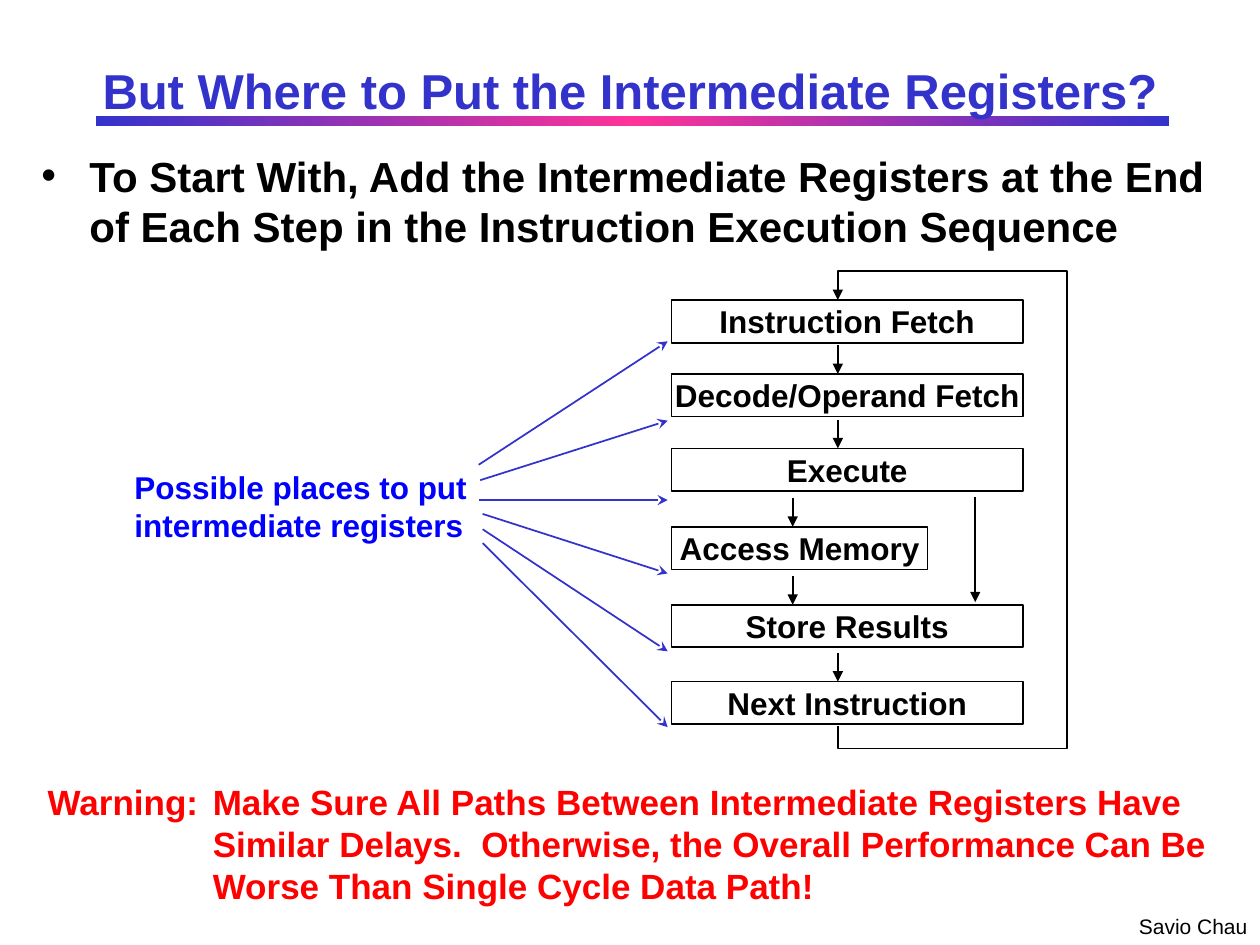
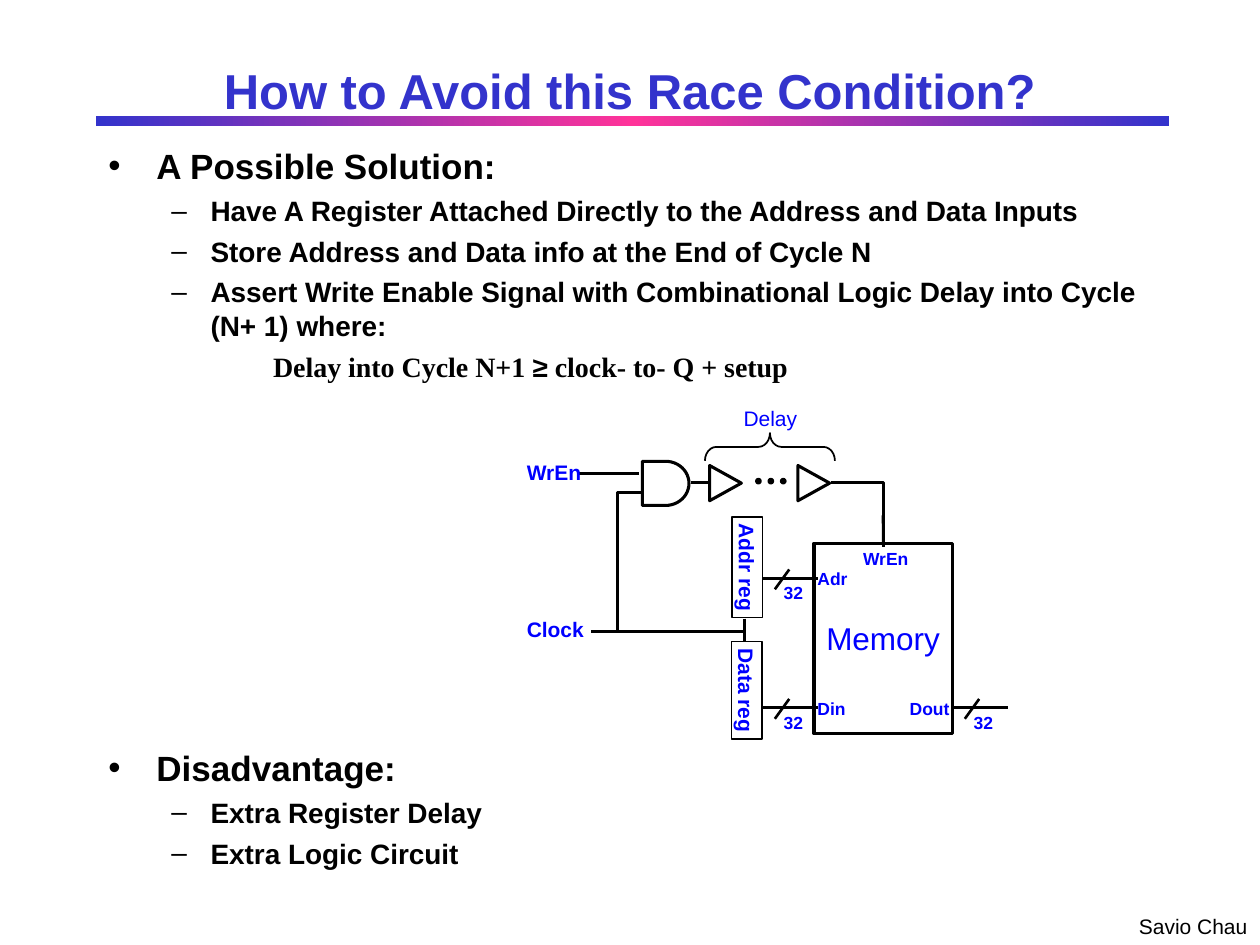
from copy import deepcopy

from lxml import etree
from pptx import Presentation
from pptx import util as u
from pptx.dml.color import RGBColor
from pptx.enum import shapes, text
from pptx.oxml.ns import qn

Cm, Pt = u.Cm, u.Pt
MSO, ALIGN = shapes.MSO_SHAPE, text.PP_ALIGN

INDIGO = RGBColor(0x33, 0x33, 0xCC)
PINK = RGBColor(0xFF, 0x33, 0x99)
BLUE = RGBColor(0x00, 0x00, 0xFF)
RED = RGBColor(0xFF, 0x00, 0x00)
BLACK = RGBColor(0x00, 0x00, 0x00)
WHITE = RGBColor(0xFF, 0xFF, 0xFF)
FONT, FORMULA_FONT = "Arial", "Times New Roman"

# Level: left margin, first-line indent (cm), bullet
LEVELS = {0: (0.97, -0.97, "•"), 1: (2.06, -0.79, "–"), 3: (3.96, -0.64, None)}


def write(shape, words, size, color, bold=True, inset=(0, 0), align=ALIGN.LEFT, wrap=False):
    """Fill a shape with one formatted paragraph and return the paragraph."""
    frame = shape.text_frame
    frame.word_wrap = wrap
    frame.auto_size = text.MSO_AUTO_SIZE.NONE
    frame.margin_left = frame.margin_right = Cm(inset[0])
    frame.margin_top = frame.margin_bottom = Cm(inset[1])
    paragraph = frame.paragraphs[0]
    paragraph.text = words
    paragraph.alignment = align
    font = paragraph.font
    font.name, font.size, font.bold = FONT, Pt(size), bold
    font.color.rgb = color
    return paragraph


def wire(slide, points, weight=1.0, color=BLACK, head=None):
    """Draw a line through points given in cm, with an optional arrowhead."""
    points = [(Cm(x), Cm(y)) for x, y in points]
    if len(points) == 2:
        path_shape = slide.shapes.add_connector(
            shapes.MSO_CONNECTOR.STRAIGHT, *points[0], *points[1])
    else:
        builder = slide.shapes.build_freeform(*points[0])
        builder.add_line_segments(points[1:], close=False)
        path_shape = builder.convert_to_shape()
        path_shape.fill.background()
    path_shape.line.color.rgb = color
    path_shape.line.width = Pt(weight)
    properties = path_shape.element.spPr
    if head:
        etree.SubElement(properties.find(qn("a:ln")), qn("a:tailEnd"), type=head)
    etree.SubElement(properties, qn("a:effectLst"))
    return path_shape


prs = Presentation()
prs.slide_width, prs.slide_height = Cm(25.4), Cm(19.05)
layout = prs.slide_layouts[1]

# Titles and lists
outlines = [
    ("But Where to Put the Intermediate Registers?",
     (1.17, 1.07, 23.06, 1.47), (0.58, 2.9, 24.23, 2.31),
     [(0, 24, 0, "To Start With, Add the Intermediate Registers at the End "
                 "of Each Step in the Instruction Execution Sequence")]),
    ("How to Avoid this Race Condition?",
     (1.9, 1.07, 21.59, 1.47), (1.93, 2.79, 21.59, 15.21),
     [(0, 20, 0, "A Possible Solution:"),
      (1, 16, 4, "Have A Register Attached Directly to the Address and Data Inputs"),
      (1, 16, 4, "Store Address and Data info at the End of Cycle N"),
      (1, 16, 4, "Assert Write Enable Signal with Combinational Logic Delay "
                 "into Cycle (N+ 1) where:"),
      (3, 16, 4, "Delay into Cycle N+1 ≥ clock- to- Q + setup"),
      (0, 20, 208, "Disadvantage:"),
      (1, 16, 4, "Extra Register Delay"),
      (1, 16, 4, "Extra Logic Circuit")]),
]
for heading, title_box, body_box, items in outlines:
    slide = prs.slides.add_slide(layout)
    title, body = slide.placeholders
    for placeholder, box in ((title, title_box), (body, body_box)):
        placeholder.left, placeholder.top, placeholder.width, placeholder.height = map(Cm, box)
    write(title, heading, 28, INDIGO, inset=(0.25, 0.13), align=ALIGN.CENTER, wrap=True)
    title.text_frame.vertical_anchor = text.MSO_ANCHOR.MIDDLE

    frame = body.text_frame
    frame.auto_size = text.MSO_AUTO_SIZE.NONE
    for number, (level, size, before, words) in enumerate(items):
        paragraph = frame.add_paragraph() if number else frame.paragraphs[0]
        paragraph.level = level
        paragraph.space_before = Pt(before)
        margin, indent, bullet = LEVELS[level]
        properties = paragraph._p.get_or_add_pPr()
        properties.set("marL", str(Cm(margin)))
        properties.set("indent", str(Cm(indent)))
        if bullet:
            etree.SubElement(properties, qn("a:buChar"), char=bullet)
        else:
            etree.SubElement(properties, qn("a:buNone"))
        paragraph.font.name = FONT
        paragraph.font.size, paragraph.font.bold = Pt(size), True
        paragraph.font.color.rgb = BLACK
        for part in filter(None, words.partition("≥")):
            run = paragraph.add_run()
            run.text = part
            if level == 3 and part != "≥":
                run.font.name = FORMULA_FONT

registers, race = prs.slides

# Shared gradient band and author, drawn once and moved to the layout
band = registers.shapes.add_shape(MSO.RECTANGLE, Cm(1.93), Cm(2.34), Cm(21.64), Cm(0.2))
band.shadow.inherit = False
band.line.fill.background()
band.fill.gradient()
band.fill.gradient_angle = 0
stop_list = next(band.element.iter(qn("a:gsLst")))
stop_list.insert(1, deepcopy(stop_list[0]))
for stop, position, color in zip(band.fill.gradient_stops, (0, 0.5, 1), (INDIGO, PINK, INDIGO)):
    stop.position = position
    stop.color.rgb = color
author = registers.shapes.add_textbox(Cm(22.71), Cm(18.29), Cm(2.69), Cm(0.76))
write(author, "Savio Chau", 12, BLACK, bold=False, inset=(0.25, 0.13))
for shape_id, shared in enumerate((band, author), 20):
    shared.element.nvSpPr.cNvPr.set("id", str(shape_id))
    layout.shapes.element.append(shared.element)

# Slide 1: execution sequence (label, top, width, x of the arrow coming in)
TRUNK, BRANCH, STEP_LEFT, STEP_WIDTH = 16.89, 15.98, 13.54, 7.08
steps = [
    ("Instruction Fetch", 6.05, STEP_WIDTH, None),
    ("Decode/Operand Fetch", 7.54, STEP_WIDTH, TRUNK),
    ("Execute", 9.04, STEP_WIDTH, TRUNK),
    ("Access Memory", 10.62, 5.16, BRANCH),
    ("Store Results", 12.19, STEP_WIDTH, BRANCH),
    ("Next Instruction", 13.74, STEP_WIDTH, TRUNK),
]
for label, top, width, arrow_x in steps:
    step = registers.shapes.add_shape(
        MSO.RECTANGLE, Cm(STEP_LEFT), Cm(top), Cm(width), Cm(0.86))
    step.shadow.inherit = False
    step.fill.background()
    step.line.color.rgb, step.line.width = BLACK, Pt(1)
    write(step, label, 18, BLACK, inset=(0, 0.05), align=ALIGN.CENTER)
    if arrow_x:
        wire(registers, [(arrow_x, top - 0.58), (arrow_x, top)], head="triangle")
wire(registers, [(19.66, 10.01), (19.66, 12.14)], head="triangle")
wire(registers, [(TRUNK, 14.63), (TRUNK, 15.09), (21.51, 15.09), (21.51, 5.46),
                 (TRUNK, 5.46), (TRUNK, 6.05)], head="triangle")

# Slide 1: possible register places
places = registers.shapes.add_textbox(Cm(2.46), Cm(9.3), Cm(7.54), Cm(1.78))
write(places, "Possible places to put intermediate registers", 18, BLUE,
      inset=(0.25, 0.13), wrap=True)
for start_x, start_y, end_y in ((9.65, 9.37, 6.88), (9.68, 9.68, 8.48), (9.65, 10.08, 10.08),
                                (9.73, 10.36, 11.56), (9.73, 10.67, 13.13),
                                (9.73, 10.95, 14.66)):
    wire(registers, [(start_x, start_y), (13.46, end_y)], color=INDIGO, head="stealth")

# Slide 1: warning with a hanging indent
warning = registers.shapes.add_textbox(Cm(0.71), Cm(15.6), Cm(23.98), Cm(2.77))
advice = write(warning, "Warning: \tMake Sure All Paths Between Intermediate Registers Have "
               "Similar Delays.  Otherwise, the Overall Performance Can Be "
               "Worse Than Single Cycle Data Path!", 20, RED, inset=(0.25, 0.13), wrap=True)
advice._p.pPr.set("marL", str(Cm(3.33)))
advice._p.pPr.set("indent", str(Cm(-3.33)))

# Slide 2: outlined parts (preset, left, top, width, height, rotation, line weight)
parts = [
    (MSO.RECTANGLE, 14.05, 11.13, 2.03, 0.61, 90, 1),
    (MSO.RECTANGLE, 14.07, 13.61, 1.96, 0.61, 90, 1),
    (MSO.FLOWCHART_DELAY, 12.95, 9.3, 0.94, 0.89, 0, 1.75),
    (MSO.ISOSCELES_TRIANGLE, 14.27, 9.42, 0.71, 0.64, 90, 1.75),
    (MSO.ISOSCELES_TRIANGLE, 16.05, 9.42, 0.71, 0.64, 90, 1.75),
    (MSO.LEFT_BRACE, 15.24, 7.7, 0.56, 2.62, 90, 1),
    (MSO.RECTANGLE, 16.41, 10.95, 2.79, 3.84, 0, 1.75),
] + [(MSO.OVAL, 15.24 + 0.25 * dot, 9.65, 0.1, 0.1, 0, 1) for dot in range(3)]
drawn = []
for preset, left, top, width, height, rotation, weight in parts:
    part = race.shapes.add_shape(preset, Cm(left), Cm(top), Cm(width), Cm(height))
    part.shadow.inherit = False
    part.rotation = rotation
    part.line.color.rgb, part.line.width = BLACK, Pt(weight)
    if preset == MSO.OVAL:
        part.fill.solid()
        part.fill.fore_color.rgb = BLACK
    else:
        part.fill.background()
    drawn.append(part)
addr_reg, data_reg, _, _, _, brace, memory = drawn[:7]
brace.adjustments[0] = 0.41
write(addr_reg, "Addr reg", 12, BLUE, inset=(0.13, 0.05), align=ALIGN.CENTER)
write(data_reg, "Data reg", 12, BLUE, inset=(0.13, 0.05), align=ALIGN.CENTER)
memory.fill.solid()
memory.fill.fore_color.rgb = WHITE
write(memory, "Memory", 18, BLUE, bold=False, inset=(0.25, 0.13), align=ALIGN.CENTER)
memory.text_frame.vertical_anchor = text.MSO_ANCHOR.MIDDLE

# Slide 2: clock and write-enable wiring
for points in ([(15.01, 12.47), (15.01, 12.95)],
               [(14.99, 12.73), (11.91, 12.73)],
               [(12.45, 12.7), (12.45, 9.93), (12.98, 9.93)],
               [(11.68, 9.55), (12.88, 9.55)],
               [(13.92, 9.73), (14.27, 9.73)],
               [(16.76, 9.73), (17.81, 9.73), (17.81, 11.02)]):
    wire(race, points, 1.75)
write_enable = wire(race, [(17.8, 10.95), (17.8, 10.39)], 1.5)
write_enable.begin_connect(memory, 0)

# Slide 2: signal labels (words, left, top, width, size, bold)
labels = [
    ("Clock", 10.62, 12.42, 1.14, 12, True),
    ("WrEn", 10.62, 9.27, 1.12, 12, True),
    ("Delay", 14.99, 8.18, 1.09, 12, False),
    ("WrEn", 17.4, 11.05, 0.91, 10, True),
    ("Adr", 16.48, 11.46, 0.61, 10, True),
    ("Din", 16.48, 14.07, 0.56, 10, True),
    ("Dout", 18.34, 14.07, 0.81, 10, True),
]

# Slide 2: 32-bit buses, each with a slash and its width
for x, y in ((15.37, 11.66), (15.37, 14.27), (19.2, 14.27)):
    wire(race, [(x, y), (x + 1.12, y)], 1.75)
    wire(race, [(x + 0.54, y - 0.18), (x + 0.25, y + 0.22)], 1.5)
    labels.append(("32", x + 0.43, y + 0.08, 0.38, 10, True))
for words, left, top, width, size, bold in labels:
    signal = race.shapes.add_textbox(Cm(left), Cm(top), Cm(width), Cm(0.5))
    write(signal, words, size, BLUE, bold=bold)

prs.save("out.pptx")
